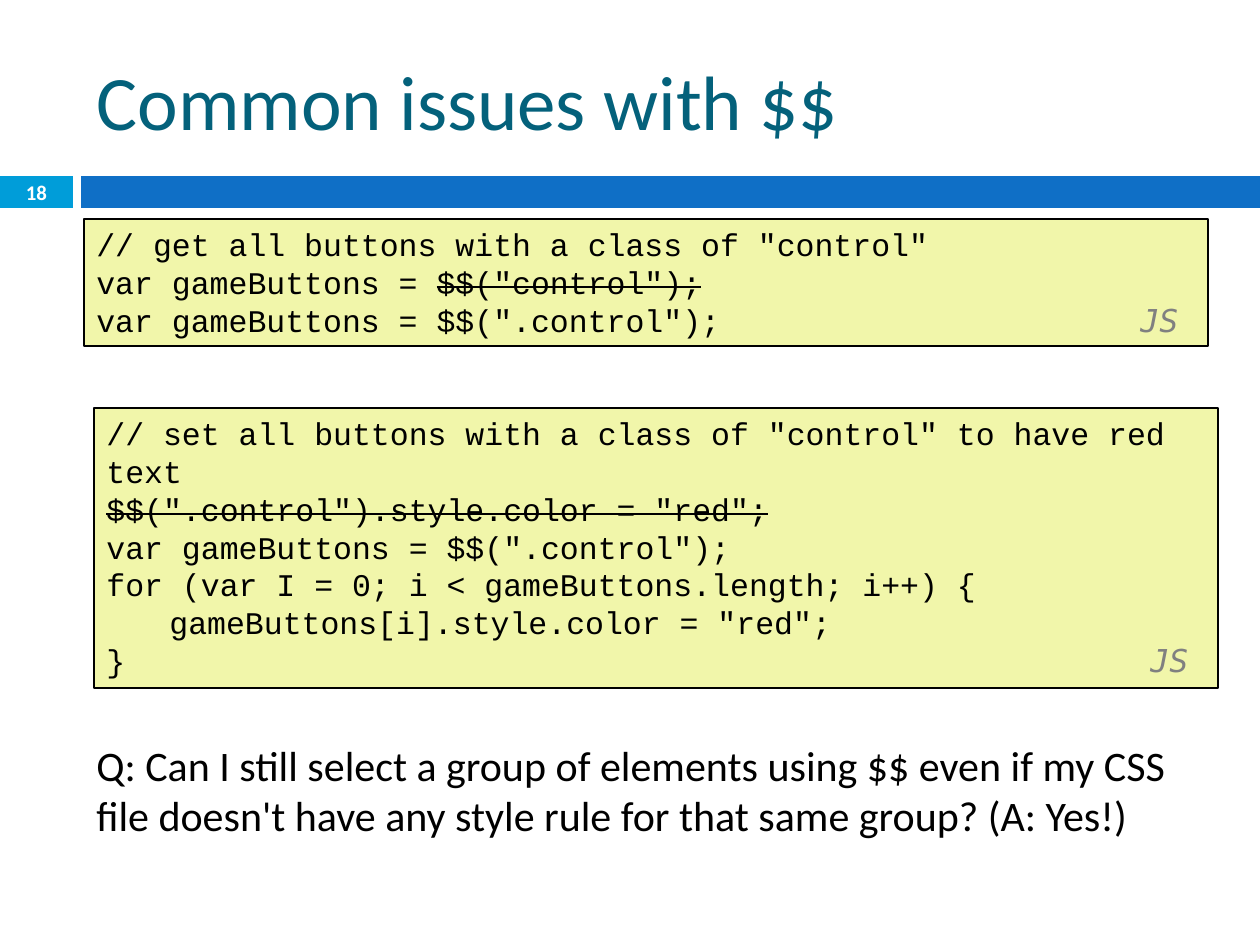
"""Build the slide on common issues with $$."""
from lxml.etree import SubElement
from pptx import Presentation
from pptx.dml.color import RGBColor
from pptx.enum.shapes import MSO_SHAPE
from pptx.enum.text import MSO_ANCHOR, MSO_AUTO_SIZE, PP_ALIGN
from pptx.oxml.ns import qn
from pptx.util import Pt

PX = 914400 // 126
BLACK = RGBColor(0, 0, 0)
WHITE = RGBColor(255, 255, 255)
GREY = RGBColor(0x80, 0x80, 0x80)
TEAL = RGBColor(0x04, 0x61, 0x7B)
CYAN = RGBColor(0x00, 0x9D, 0xD9)
BLUE = RGBColor(0x0F, 0x6F, 0xC6)
CREAM = RGBColor(0xF1, 0xF6, 0xAA)

TITLE = "Common issues with $$"
NUMBER = "18"
ASK = ("Q: Can I still select a group of elements using $$ even if my CSS "
       "file doesn't have any style rule for that same group? (A: Yes!)")
TAG = "JS"
TAB = 1082

BARS = [((0, 176, 73, 32), CYAN), ((81, 176, 1179, 32), BLUE)]
CODES = [
    ((84, 219, 1124, 127), [
        ('// get all buttons with a class of "control"', ""),
        ("var gameButtons = ", '$$("control");'),
        ('var gameButtons = $$(".control");', ""),
    ]),
    ((94, 408, 1124, 280), [
        ('// set all buttons with a class of "control" to have red text', ""),
        ("", '$$(".control").style.color = "red";'),
        ('var gameButtons = $$(".control");', ""),
        ("for (var I = 0; i < gameButtons.length; i++) {", ""),
        ('\tgameButtons[i].style.color = "red";', ""),
        ("}", ""),
    ]),
]

HEAD = {"name": "Calibri", "size": Pt(44), "bold": False}
PAGE = {"name": "Calibri", "size": Pt(11.9), "bold": True}
BODY = {"name": "Calibri", "size": Pt(24)}
CODE = {"name": "Courier New", "size": Pt(18)}
MARK = {"name": "DejaVu Sans Mono", "size": Pt(18), "italic": True}


def scale(box):
    return [n * PX for n in box]


def write(para, text, style, color):
    run = para.add_run()
    run.text = text
    for key, value in style.items():
        setattr(run.font, key, value)
    run.font.color.rgb = color
    return run


def setup(frame, anchor, fit=MSO_AUTO_SIZE.NONE):
    frame.word_wrap = True
    frame.vertical_anchor = anchor
    frame.auto_size = fit
    return frame.paragraphs[0]


def block(box, fill):
    shape = slide.shapes.add_shape(MSO_SHAPE.RECTANGLE, *scale(box))
    shape.shadow.inherit = False
    shape.fill.solid()
    shape.fill.fore_color.rgb = fill
    shape.line.fill.background()
    return shape


def label(box, text, style, color, anchor):
    frame = slide.shapes.add_textbox(*scale(box)).text_frame
    para = setup(frame, anchor)
    write(para, text, style, color)
    return para


def listing(box, lines):
    shape = block(box, CREAM)
    shape.line.color.rgb = BLACK
    shape.line.width = Pt(1.5)
    frame = shape.text_frame
    para = setup(frame, MSO_ANCHOR.TOP, MSO_AUTO_SIZE.SHAPE_TO_FIT_TEXT)
    for i, (plain, struck) in enumerate(lines):
        if i:
            para = frame.add_paragraph()
        para.alignment = PP_ALIGN.LEFT
        if plain:
            write(para, plain, CODE, BLACK)
        if struck:
            run = write(para, struck, CODE, BLACK)
            run._r.get_or_add_rPr().set("strike", "sngStrike")
    tabs = SubElement(para._p.get_or_add_pPr(), qn("a:tabLst"))
    SubElement(tabs, qn("a:tab"), pos=str(TAB * PX), algn="r")
    write(para, "\t", CODE, BLACK)
    write(para, TAG, MARK, GREY)


deck = Presentation()
deck.slide_width, deck.slide_height = scale((1260, 945))
slide = deck.slides.add_slide(deck.slide_layouts[5])

for box, fill in BARS:
    block(box, fill)

title = slide.shapes.title
title.left, title.top, title.width, title.height = scale((84, 32, 1124, 136))
para = setup(title.text_frame, MSO_ANCHOR.MIDDLE)
para.alignment = PP_ALIGN.LEFT
write(para, TITLE, HEAD, TEAL)

page = label((0, 175, 73, 34), NUMBER, PAGE, WHITE, MSO_ANCHOR.MIDDLE)
page.alignment = PP_ALIGN.CENTER

for box, lines in CODES:
    listing(box, lines)

label((84, 733, 1124, 115), ASK, BODY, BLACK, MSO_ANCHOR.TOP)

deck.save("out.pptx")
